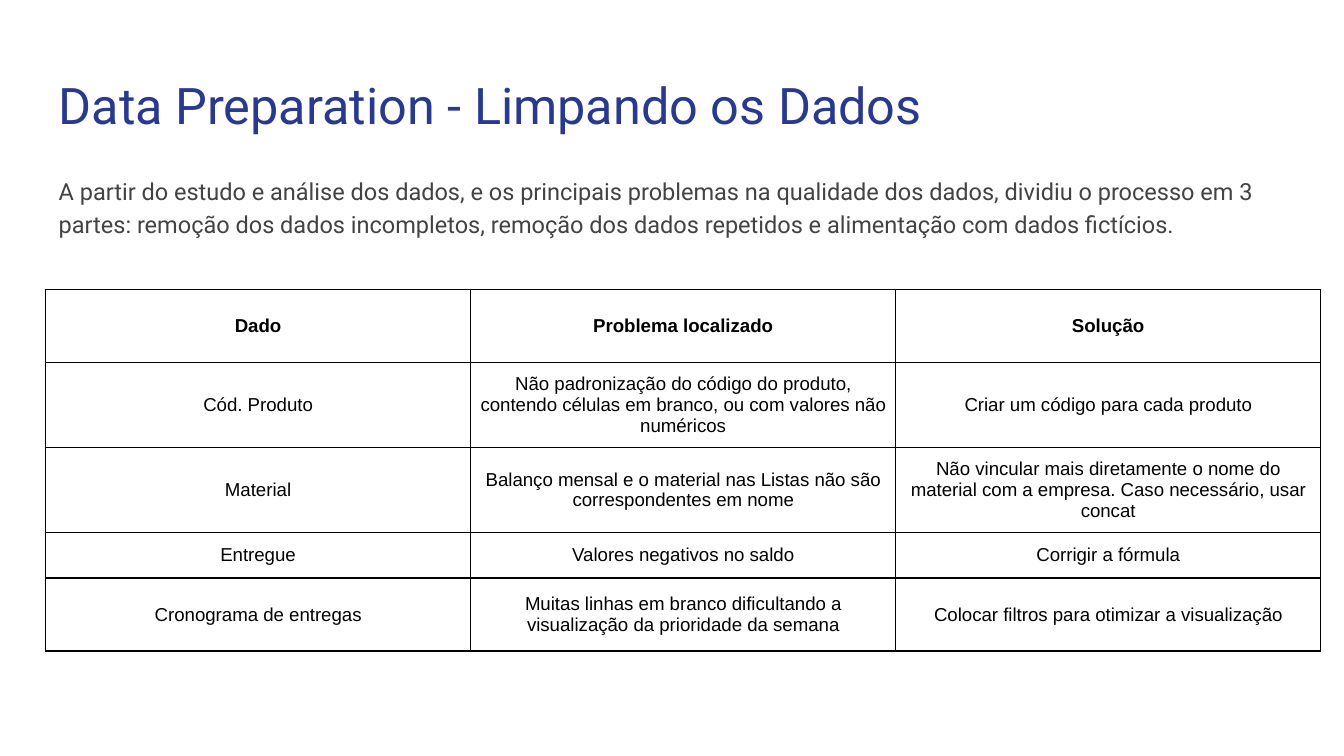
import pptx
import pptx.util
import pptx.dml.color
import pptx.enum.text
import pptx.oxml
import pptx.oxml.ns
import lxml.etree

Cm = pptx.util.Cm
Pt = pptx.util.Pt
ALIGN = pptx.enum.text.PP_ALIGN
ANCHOR = pptx.enum.text.MSO_ANCHOR

LEFT = 0.86
WIDTH = 23.67
TITLE = "Data Preparation - Limpando os Dados"
BODY = (
    "A partir do estudo e análise dos dados, e os principais problemas na "
    "qualidade dos dados, dividiu o processo em 3 partes: remoção dos dados "
    "incompletos, remoção dos dados repetidos e alimentação com dados fictícios."
)
ROWS = [
    ("Dado", "Problema localizado", "Solução"),
    ("Cód. Produto",
     "Não padronização do código do produto, contendo células em branco, "
     "ou com valores não numéricos",
     "Criar um código para cada produto"),
    ("Material",
     "Balanço mensal e o material nas Listas não são correspondentes em nome",
     "Não vincular mais diretamente o nome do material com a empresa. "
     "Caso necessário, usar concat"),
    ("Entregue", "Valores negativos no saldo", "Corrigir a fórmula"),
    ("Cronograma de entregas",
     "Muitas linhas em branco dificultando a visualização da prioridade da semana",
     "Colocar filtros para otimizar a visualização"),
]
HEIGHTS = [1.38, 1.61, 1.61, 0.86, 1.38]


def tint(code):
    """Turn a hex string into a colour."""
    return pptx.dml.color.RGBColor.from_string(code)


def style(para, face, size, code, bold=False):
    """Format every run of a paragraph."""
    for run in para.runs:
        run.font.name = face
        run.font.size = Pt(size)
        run.font.bold = bold
        run.font.color.rgb = tint(code)


def pad(frame, gap):
    """Give a text frame equal margins."""
    frame.margin_left = frame.margin_right = Cm(gap)
    frame.margin_top = frame.margin_bottom = Cm(gap)


def fill(holder, text, top, height, size, code, anchor):
    """Move a placeholder, write its text and return the paragraph."""
    holder.left, holder.top = Cm(LEFT), Cm(top)
    holder.width, holder.height = Cm(WIDTH), Cm(height)
    frame = holder.text_frame
    frame.text = text
    frame.word_wrap = True
    frame.auto_size = pptx.enum.text.MSO_AUTO_SIZE.NONE
    frame.vertical_anchor = anchor
    pad(frame, 0.25)
    para = frame.paragraphs[0]
    para.alignment = ALIGN.LEFT
    para.space_before = Pt(0)
    style(para, "Roboto", size, code)
    return para


def plain(para):
    """Remove the bullet and indent of a paragraph."""
    props = para._p.get_or_add_pPr()
    props.set("marL", "0")
    props.set("indent", "0")
    lxml.etree.SubElement(props, pptx.oxml.ns.qn("a:buNone"))


def border(cell, code, width):
    """Draw a solid line on all four sides of a cell."""
    props = cell._tc.get_or_add_tcPr()
    space = pptx.oxml.ns.nsdecls("a")
    for side in "LRTB":
        props.append(pptx.oxml.parse_xml(
            f'<a:ln{side} {space} w="{Pt(width)}"><a:solidFill>'
            f'<a:srgbClr val="{code}"/></a:solidFill></a:ln{side}>'))


def write(cell, text, bold):
    """Write and format one table cell."""
    cell.text_frame.text = text
    cell.vertical_anchor = ANCHOR.MIDDLE
    pad(cell, 0.18)
    para = cell.text_frame.paragraphs[0]
    para.alignment = ALIGN.CENTER
    style(para, "Arial", 10, "000000", bold)
    border(cell, "000000", 1)
    cell.fill.background()


def grid(slide, top, width):
    """Add the table of problems and solutions."""
    frame = slide.shapes.add_table(
        len(ROWS), len(ROWS[0]), Cm(LEFT), Cm(top), Cm(width), Cm(sum(HEIGHTS)))
    table = frame.table
    table.first_row = table.horz_banding = False
    for row, height in zip(table.rows, HEIGHTS):
        row.height = Cm(height)
    for r, texts in enumerate(ROWS):
        for c, text in enumerate(texts):
            write(table.cell(r, c), text, r == 0)


def main():
    """Build and save the slide."""
    deck = pptx.Presentation()
    deck.slide_width, deck.slide_height = Cm(25.4), Cm(14.29)
    slide = deck.slides.add_slide(deck.slide_layouts[1])
    fill(slide.shapes.title, TITLE, 1.14, 1.68, 27, "2A3990", ANCHOR.MIDDLE)
    para = fill(slide.placeholders[1], BODY, 3.02, 2.01, 12.6, "434343", ANCHOR.TOP)
    para.line_spacing = 1.15
    para.space_after = Pt(12)
    plain(para)
    grid(slide, 5.47, 24.1)
    deck.save("out.pptx")


if __name__ == "__main__":
    main()
